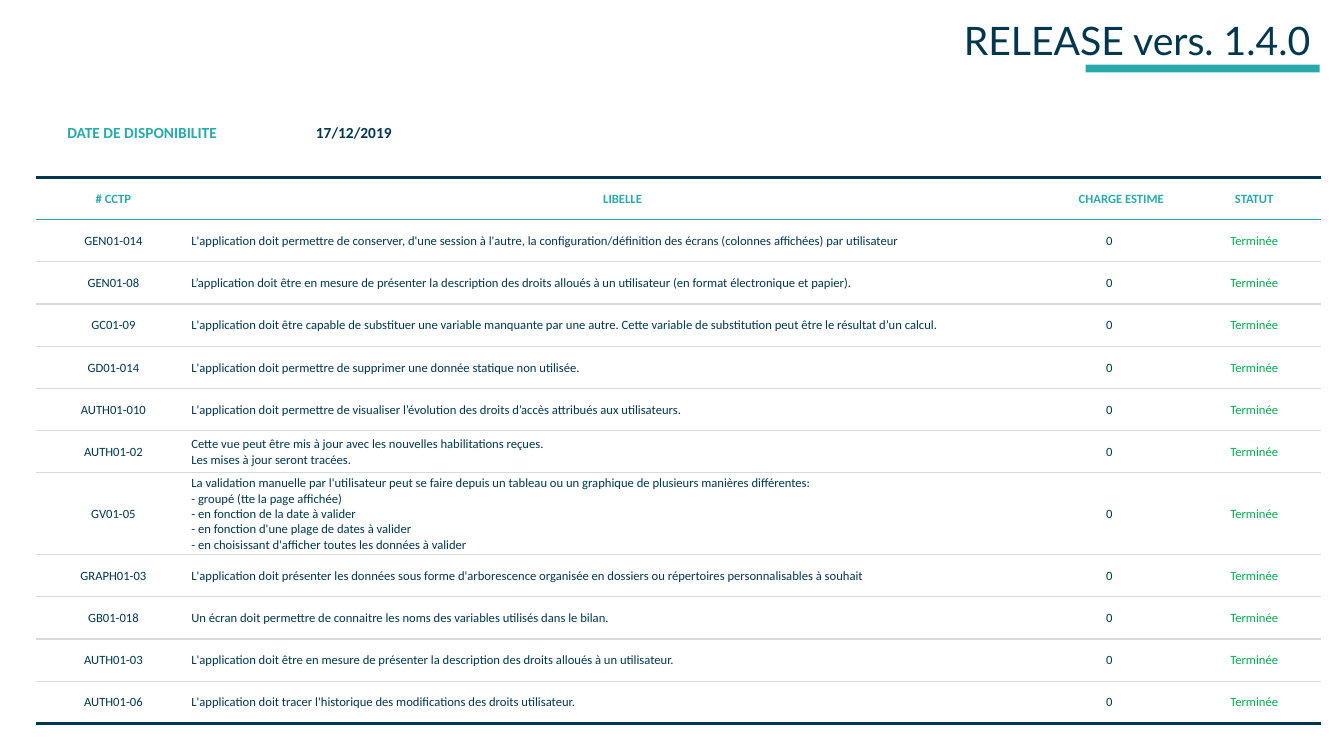
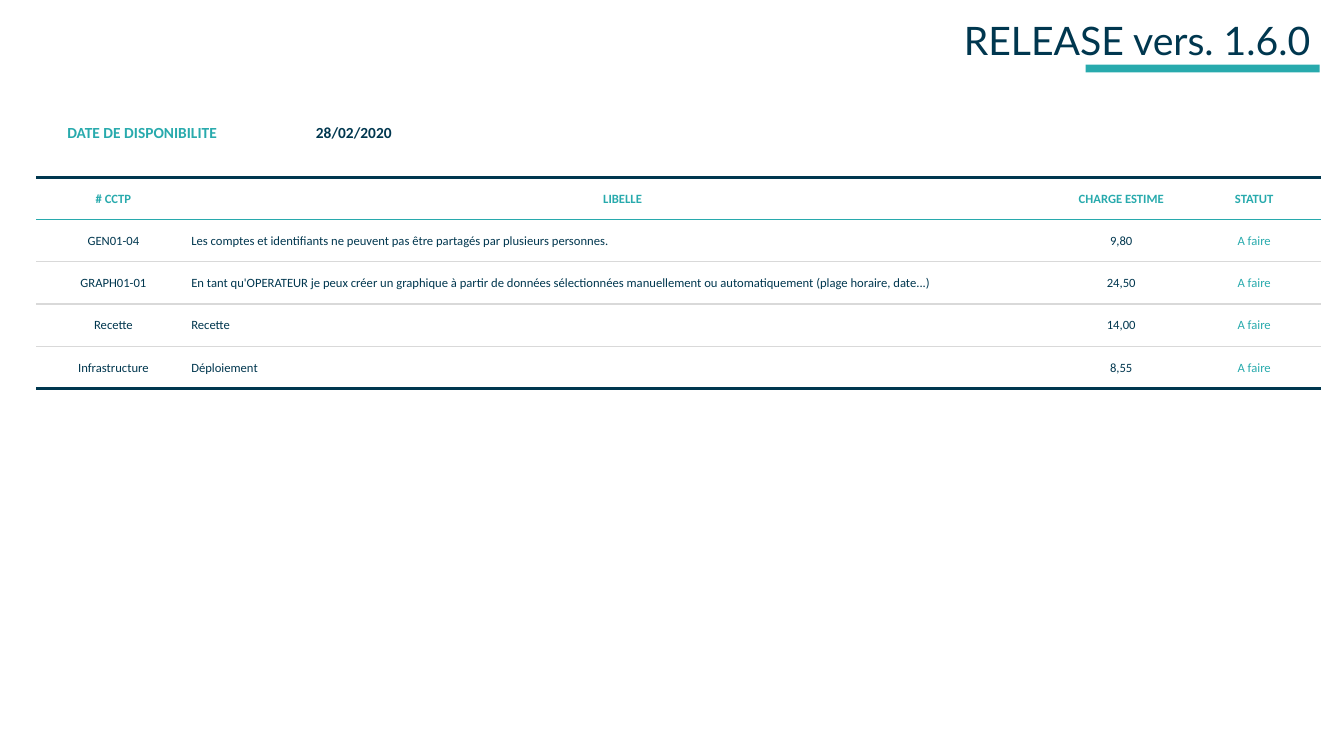
from dataclasses import dataclass

import lxml.etree
import pptx
import pptx.dml.color
import pptx.enum.shapes
import pptx.enum.text
import pptx.oxml.ns
import pptx.util

Pt = pptx.util.Pt
RGBColor = pptx.dml.color.RGBColor
Align = pptx.enum.text.PP_ALIGN
Anchor = pptx.enum.text.MSO_ANCHOR

NAVY = RGBColor(0x00, 0x37, 0x4F)
TEAL = RGBColor(0x28, 0xAA, 0xAD)
GREEN = RGBColor(0x00, 0xB0, 0x50)
GREY = RGBColor(0xD9, 0xD9, 0xD9)
WHITE = RGBColor(0xFF, 0xFF, 0xFF)

TITLE_FONT = "Lato"
BODY_FONT = "Calibri"
PLAIN_TABLE_STYLE = "{2D5ABB26-0587-4C30-8999-92F81FD0307C}"
TABLE_LEFT = 26
ROW_HEIGHT = 30.15
TALL_ROW_HEIGHT = 58.5
TALL_ROW_LINES = 3
COLUMN_WIDTHS = [110, 617.4, 95, 95]
DATE_WIDTHS = [151.2, 151.2]
HEADERS = ["# CCTP", "LIBELLE", "CHARGE ESTIME", "STATUT"]


@dataclass(frozen=True)
class Requirement:
    code: str
    label: str
    effort: str = "0"


@dataclass(frozen=True)
class Release:
    version: str
    date: str
    status: str
    status_color: RGBColor
    effort_align: Align
    effort_indent: float
    requirements: list[Requirement]


@dataclass(frozen=True)
class Rule:
    color: RGBColor
    width: float


EDGE_RULE = Rule(NAVY, 2.25)
HEADER_RULE = Rule(TEAL, 1)
ROW_RULE = Rule(GREY, 1)

RELEASES = [
    Release("1.4.0", "17/12/2019", "Terminée", GREEN, Align.LEFT, 36, [
        Requirement("GEN01-014", "L'application doit permettre de conserver, d'une session à l'autre, "
                    "la configuration/définition des écrans (colonnes affichées) par utilisateur"),
        Requirement("GEN01-08", "L’application doit être en mesure de présenter la description des droits "
                    "alloués à un utilisateur (en format électronique et papier)."),
        Requirement("GC01-09", "L'application doit être capable de substituer une variable manquante par une "
                    "autre. Cette variable de substitution peut être le résultat d’un calcul."),
        Requirement("GD01-014", "L'application doit permettre de supprimer une donnée statique non utilisée."),
        Requirement("AUTH01-010", "L'application doit permettre de visualiser l’évolution des droits d’accès "
                    "attribués aux utilisateurs."),
        Requirement("AUTH01-02", "Cette vue peut être mis à jour avec les nouvelles habilitations reçues.\n"
                    "Les mises à jour seront tracées."),
        Requirement("GV01-05", "La validation manuelle par l'utilisateur peut se faire depuis un tableau ou un "
                    "graphique de plusieurs manières différentes:\n"
                    "- groupé (tte la page affichée)\n"
                    "- en fonction de la date à valider\n"
                    "- en fonction d'une plage de dates à valider\n"
                    "- en choisissant d'afficher toutes les données à valider"),
        Requirement("GRAPH01-03", "L'application doit présenter les données sous forme d'arborescence organisée "
                    "en dossiers ou répertoires personnalisables à souhait"),
        Requirement("GB01-018", "Un écran doit permettre de connaitre les noms des variables utilisés dans le bilan."),
        Requirement("AUTH01-03", "L'application doit être en mesure de présenter la description des droits "
                    "alloués à un utilisateur."),
        Requirement("AUTH01-06", "L'application doit tracer l'historique des modifications des droits utilisateur."),
    ]),
    Release("1.6.0", "28/02/2020", "A faire", TEAL, Align.CENTER, 0, [
        Requirement("GEN01-04", "Les comptes et identifiants ne peuvent pas être partagés par plusieurs personnes.",
                    "9,80"),
        Requirement("GRAPH01-01", "En tant qu'OPERATEUR je peux créer un graphique à partir de données "
                    "sélectionnées manuellement ou automatiquement (plage horaire, date...)", "24,50"),
        Requirement("Recette", "Recette", "14,00"),
        Requirement("Infrastructure", "Déploiement", "8,55"),
    ]),
]


def write_text(text_frame, text: str, *, size: float, color: RGBColor, font: str = BODY_FONT,
               bold: bool = False, align: Align = Align.CENTER, indent: float = 0,
               line_spacing: float = 1) -> None:
    text_frame.text = text
    for paragraph in text_frame.paragraphs:
        paragraph.alignment = align
        paragraph.line_spacing = line_spacing
        if indent:
            paragraph._p.get_or_add_pPr().set("marL", str(Pt(indent)))
        for run in paragraph.runs:
            run.font.name = font
            run.font.size = Pt(size)
            run.font.bold = bold
            run.font.color.rgb = color


def add_border(cell, tag: str, rule: Rule) -> None:
    qualified = pptx.oxml.ns.qn
    properties = cell._tc.get_or_add_tcPr()
    line = lxml.etree.SubElement(properties, qualified(tag), w=str(Pt(rule.width)))
    fill = lxml.etree.SubElement(line, qualified("a:solidFill"))
    lxml.etree.SubElement(fill, qualified("a:srgbClr"), val=str(rule.color))


def add_plain_table(slide, top: float, widths: list[float], heights: list[float]):
    frame = slide.shapes.add_table(len(heights), len(widths), Pt(TABLE_LEFT), Pt(top),
                                   Pt(sum(widths)), Pt(sum(heights)))
    for style in frame.element.iter(pptx.oxml.ns.qn("a:tableStyleId")):
        style.text = PLAIN_TABLE_STYLE
    table = frame.table
    table.first_row = table.horz_banding = False
    for column, width in zip(table.columns, widths):
        column.width = Pt(width)
    for row, height in zip(table.rows, heights):
        row.height = Pt(height)
    for cell in table.iter_cells():
        cell.margin_left = cell.margin_right = cell.margin_top = Pt(0.7)
        cell.margin_bottom = 0
        cell.vertical_anchor = Anchor.MIDDLE
    return table


def add_title(slide, title: str) -> None:
    bar = slide.shapes.add_shape(pptx.enum.shapes.MSO_SHAPE.RECTANGLE, Pt(775.5), Pt(46.2), Pt(167.2), Pt(5.6))
    bar.shadow.inherit = False
    bar.fill.solid()
    bar.fill.fore_color.rgb = TEAL
    bar.line.fill.background()
    box = slide.shapes.add_textbox(Pt(183), Pt(0), Pt(760), Pt(49))
    box.text_frame.word_wrap = True
    box.text_frame.vertical_anchor = Anchor.BOTTOM
    write_text(box.text_frame, title, size=28, color=NAVY, font=TITLE_FONT, align=Align.RIGHT, line_spacing=0.9)


def add_date(slide, date: str) -> None:
    table = add_plain_table(slide, 80, DATE_WIDTHS, [ROW_HEIGHT])
    for column, (text, color) in enumerate([("DATE DE DISPONIBILITE", TEAL), (date, NAVY)]):
        write_text(table.cell(0, column).text_frame, text, size=11, color=color, bold=True)


def row_height(requirement: Requirement) -> float:
    lines = requirement.label.count("\n") + 1
    return TALL_ROW_HEIGHT if lines >= TALL_ROW_LINES else ROW_HEIGHT


def add_requirements(slide, release: Release) -> None:
    heights = [ROW_HEIGHT] + [row_height(requirement) for requirement in release.requirements]
    table = add_plain_table(slide, 126.7, COLUMN_WIDTHS, heights)
    rules = [EDGE_RULE, HEADER_RULE] + [ROW_RULE] * (len(heights) - 2) + [EDGE_RULE]
    for row_index, row in enumerate(table.rows):
        for cell in row.cells:
            add_border(cell, "a:lnT", rules[row_index])
            add_border(cell, "a:lnB", rules[row_index + 1])
            cell.fill.solid()
            cell.fill.fore_color.rgb = WHITE
    for column, header in enumerate(HEADERS):
        write_text(table.cell(0, column).text_frame, header, size=9, color=TEAL, bold=True)
    for row_index, requirement in enumerate(release.requirements, start=1):
        code, label, effort, status = (cell.text_frame for cell in table.rows[row_index].cells)
        write_text(code, requirement.code, size=9, color=NAVY)
        write_text(label, requirement.label, size=9, color=NAVY, align=Align.LEFT)
        write_text(effort, requirement.effort, size=9, color=NAVY,
                   align=release.effort_align, indent=release.effort_indent)
        write_text(status, release.status, size=9, color=release.status_color)


def main() -> None:
    presentation = pptx.Presentation()
    presentation.slide_width = Pt(960)
    presentation.slide_height = Pt(540)
    blank_layout = presentation.slide_layouts[6]
    for release in RELEASES:
        slide = presentation.slides.add_slide(blank_layout)
        add_title(slide, f"RELEASE vers. {release.version}")
        add_requirements(slide, release)
        add_date(slide, release.date)
    presentation.save("out.pptx")


if __name__ == "__main__":
    main()
